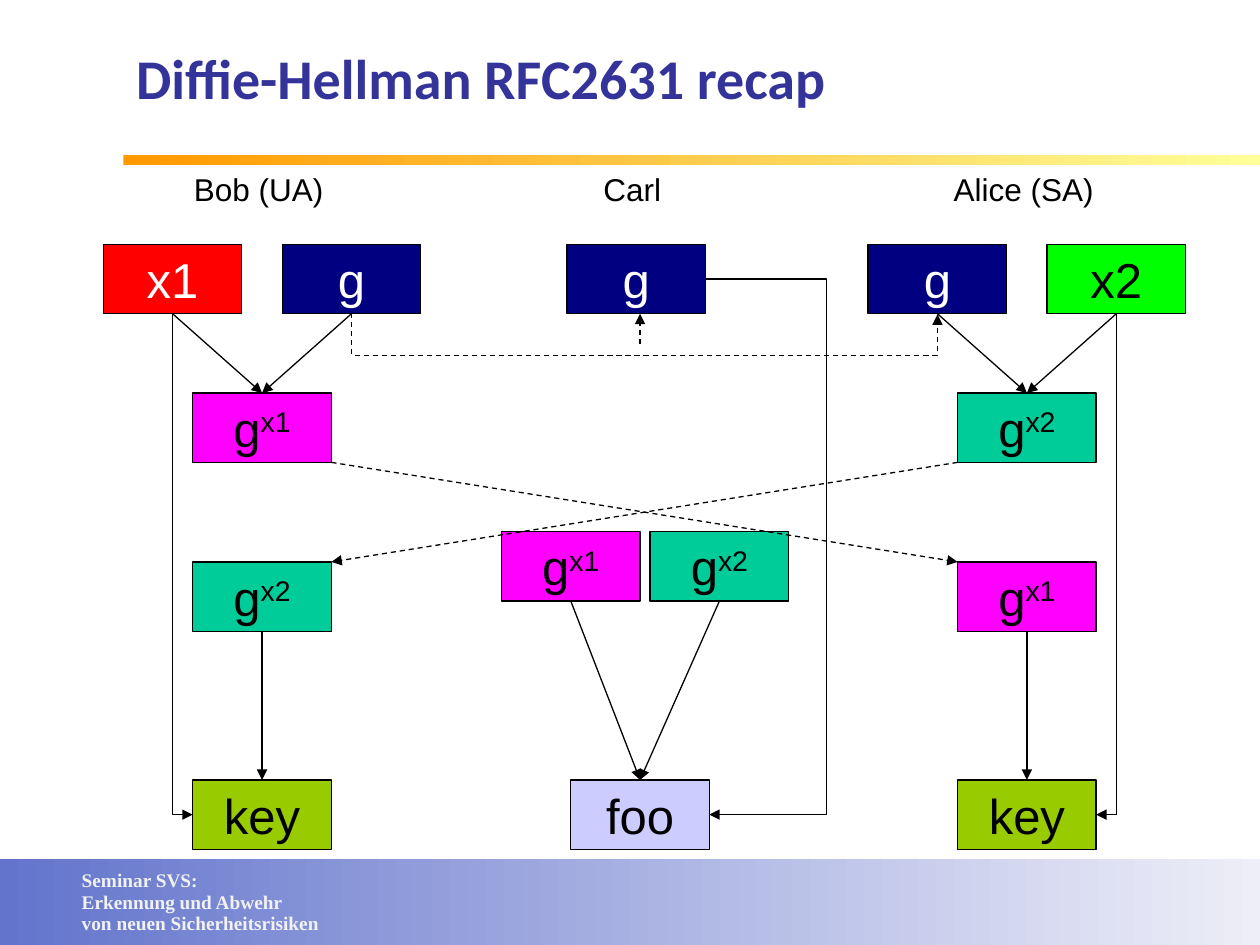
from pptx import Presentation
from pptx.dml.color import RGBColor
from pptx.enum.dml import MSO_LINE_DASH_STYLE as Dash
from pptx.enum.shapes import MSO_CONNECTOR as Connector, MSO_SHAPE as Shape
from pptx.enum.text import MSO_ANCHOR as Anchor, PP_ALIGN as Align
from pptx.oxml.ns import qn
from pptx.util import Inches, Pt
from lxml.etree import SubElement

COLUMNS = {"Bob": 1.53, "Carl": 4.53, "Alice": 7.6}
ROWS = {"inputs": 1.94, "public": 3.12, "seen": 4.22, "received": 4.46, "result": 6.19}
BOX_WIDTH, BOX_HEIGHT = 1.1, 0.55
TOP, LEFT, BOTTOM, RIGHT = range(4)
BLACK, WHITE, NAVY = "000000", "FFFFFF", "000080"
MAGENTA, TEAL, OLIVE = "FF00FF", "00CC99", "99CC00"


def color(hex_code):
    """Turn a hex string into a colour."""
    return RGBColor.from_string(hex_code)


def style(paragraph, size, ink, face="Arial", bold=False):
    """Set the font of a whole paragraph."""
    font = paragraph.font
    font.size, font.name, font.bold = Pt(size), face, bold
    font.color.rgb = color(ink)


def add_band(slide, left, top, width, height, start, end):
    """Draw a rectangle that fades from left to right."""
    band = slide.shapes.add_shape(Shape.RECTANGLE, *map(Inches, (left, top, width, height)))
    band.shadow.inherit = False
    band.line.fill.background()
    band.fill.gradient()
    band.fill.gradient_angle = 0
    for stop, shade in zip(band.fill.gradient_stops, (start, end)):
        stop.color.rgb = color(shade)


def add_label(slide, left, top, width, height, lines, size, ink, face="Arial", bold=False, spacing=1.0):
    """Write unwrapped lines of text."""
    label = slide.shapes.add_textbox(*map(Inches, (left, top, width, height)))
    frame = label.text_frame
    frame.word_wrap = False
    frame.text = "\n".join(lines)
    for paragraph in frame.paragraphs:
        paragraph.line_spacing = spacing
        style(paragraph, size, ink, face, bold)
    return frame


def add_value(slide, person, row, base, fill, power="", ink=BLACK, shift=0.0):
    """Draw a box holding a value, with an optional exponent."""
    box = slide.shapes.add_shape(
        Shape.RECTANGLE, Inches(COLUMNS[person] + shift), Inches(ROWS[row]),
        Inches(BOX_WIDTH), Inches(BOX_HEIGHT))
    box.shadow.inherit = False
    box.fill.solid()
    box.fill.fore_color.rgb = color(fill)
    box.line.color.rgb = color(BLACK)
    box.line.width = Pt(0.75)
    frame = box.text_frame
    frame.word_wrap = False
    frame.vertical_anchor = Anchor.MIDDLE
    paragraph = frame.paragraphs[0]
    paragraph.alignment = Align.CENTER
    paragraph.add_run().text = base
    if power:
        exponent = paragraph.add_run()
        exponent.text = power
        exponent.font._element.set("baseline", "30000")
    style(paragraph, 28, ink)
    return box


def add_arrow(slide, kind, start, end, dashed=False):
    """Draw a thin connector with a triangular head at its end."""
    arrow = slide.shapes.add_connector(kind, *start, *end)
    arrow.line.color.rgb = color(BLACK)
    arrow.line.width = Pt(0.75)
    if dashed:
        arrow.line.dash_style = Dash.DASH
    SubElement(arrow.line._get_or_add_ln(), qn("a:tailEnd"), type="triangle")
    SubElement(arrow._element.spPr, qn("a:effectLst"))
    return arrow


def join(slide, source, source_side, target, target_side, kind=Connector.STRAIGHT, dashed=False):
    """Connect the sides of two boxes."""
    arrow = add_arrow(slide, kind, (0, 0), (0, 0), dashed)
    arrow.begin_connect(source, source_side)
    arrow.end_connect(target, target_side)
    return arrow


def join_bent(slide, source, source_side, target, target_side, turn=0, flip=False, reach=None, dashed=False):
    """Connect two boxes by an elbow, turned in degrees, with an optional reach in inches."""
    arrow = join(slide, source, source_side, target, target_side, Connector.ELBOW, dashed)
    start, end = (arrow.begin_x, arrow.begin_y), (arrow.end_x, arrow.end_y)
    across, down = (abs(b - a) for a, b in zip(start, end))
    width, height = (down, across) if turn else (across, down)
    width = max(width, Inches(0.01))
    arrow.left = (start[0] + end[0] - width) // 2
    arrow.top = (start[1] + end[1] - height) // 2
    arrow.width, arrow.height = width, height
    frame = arrow._element.spPr.find(qn("a:xfrm"))
    for flag in ("flipH", "flipV"):
        frame.attrib.pop(flag, None)
    frame.set("rot", str(turn * 60000))
    if flip:
        frame.set("flipH", "1")
    geometry = arrow._element.spPr.find(qn("a:prstGeom"))
    if reach is None:
        geometry.set("prst", "bentConnector2")
    else:
        guides = geometry.find(qn("a:avLst"))
        share = round(Inches(reach) / width * 100000)
        SubElement(guides, qn("a:gd"), name="adj1", fmla=f"val {share}")


def add_title(slide, text):
    """Fill and place the title placeholder."""
    title = slide.shapes.title
    title.left, title.top, title.width, title.height = map(Inches, (0.98, 0.13, 8.53, 1.02))
    title.text_frame.text = text
    title.text_frame.vertical_anchor = Anchor.MIDDLE
    paragraph = title.text_frame.paragraphs[0]
    paragraph.alignment = Align.LEFT
    paragraph.line_spacing = 0.93
    style(paragraph, 32, "333399", "Calibri", True)


def add_party(slide, person, secret, secret_fill, secret_ink, own, other, outward):
    """Draw one party's boxes and arrows; outward is the side its secret is on."""
    shift = 0.71 if outward == RIGHT else -0.71
    private = add_value(slide, person, "inputs", secret, secret_fill, ink=secret_ink, shift=shift)
    generator = add_value(slide, person, "inputs", "g", NAVY, ink=WHITE, shift=-shift)
    public = add_value(slide, person, "public", "g", *own)
    received = add_value(slide, person, "received", "g", *other)
    key = add_value(slide, person, "result", "key", OLIVE)
    for part in (private, generator):
        join(slide, part, BOTTOM, public, TOP)
    join(slide, received, BOTTOM, key, TOP)
    mirrored = outward == LEFT
    join_bent(slide, private, BOTTOM, key, outward, 270 if mirrored else 90, mirrored)
    return generator, public, received


def add_observer(slide, first, second):
    """Draw what Carl sees and derives."""
    generator = add_value(slide, "Carl", "inputs", "g", NAVY, ink=WHITE, shift=-0.03)
    result = add_value(slide, "Carl", "result", "foo", "CCCCFF")
    for seen, shift in ((first, -0.55), (second, 0.63)):
        join(slide, add_value(slide, "Carl", "seen", "g", *seen, shift=shift), BOTTOM, result, TOP)
    join_bent(slide, generator, RIGHT, result, RIGHT, reach=0.96)
    middle = result.left + result.width // 2
    add_arrow(slide, Connector.STRAIGHT, (middle, Inches(2.73)),
              (middle, generator.top + generator.height), dashed=True)


def main():
    """Build and save the slide."""
    deck = Presentation()
    deck.slide_width, deck.slide_height = Inches(10), Inches(7.5)
    slide = deck.slides.add_slide(deck.slide_layouts[5])
    add_band(slide, 0, 6.82, 10, 0.68, "6274CC", "EEEEF8")
    seminar = ("Seminar SVS:", "Erkennung und Abwehr", "von neuen Sicherheitsrisiken")
    footer = add_label(slide, 0.55, 6.85, 2.08, 0.62, seminar, 11, "F2F2F2", "Times New Roman", True, 0.93)
    footer.margin_top = Inches(0.06)
    add_band(slide, 0.98, 1.23, 9.02, 0.08, "FF9900", "FFFF99")
    add_title(slide, "Diffie-Hellman RFC2631 recap")
    for name, left, width in (("Bob (UA)", 1.44, 1.23), ("Carl", 4.69, 0.66), ("Alice (SA)", 7.47, 1.31)):
        add_label(slide, left, 1.3, width, 0.4, [name], 18, BLACK)

    bob_public, alice_public = (MAGENTA, "x1"), (TEAL, "x2")
    bob_g, bob_sent, bob_received = add_party(
        slide, "Bob", "x1", "FF0000", WHITE, bob_public, alice_public, LEFT)
    alice_g, alice_sent, alice_received = add_party(
        slide, "Alice", "x2", "00FF00", BLACK, alice_public, bob_public, RIGHT)
    add_observer(slide, bob_public, alice_public)

    join_bent(slide, bob_g, BOTTOM, alice_g, BOTTOM, 270, True, reach=0.34, dashed=True)
    bob_edge, alice_edge = bob_sent.left + bob_sent.width, alice_sent.left
    sent_y, received_y = bob_sent.top + bob_sent.height, bob_received.top
    for start, end in ((alice_edge, bob_edge), (bob_edge, alice_edge)):
        add_arrow(slide, Connector.STRAIGHT, (start, sent_y), (end, received_y), dashed=True)
    deck.save("out.pptx")


if __name__ == "__main__":
    main()
